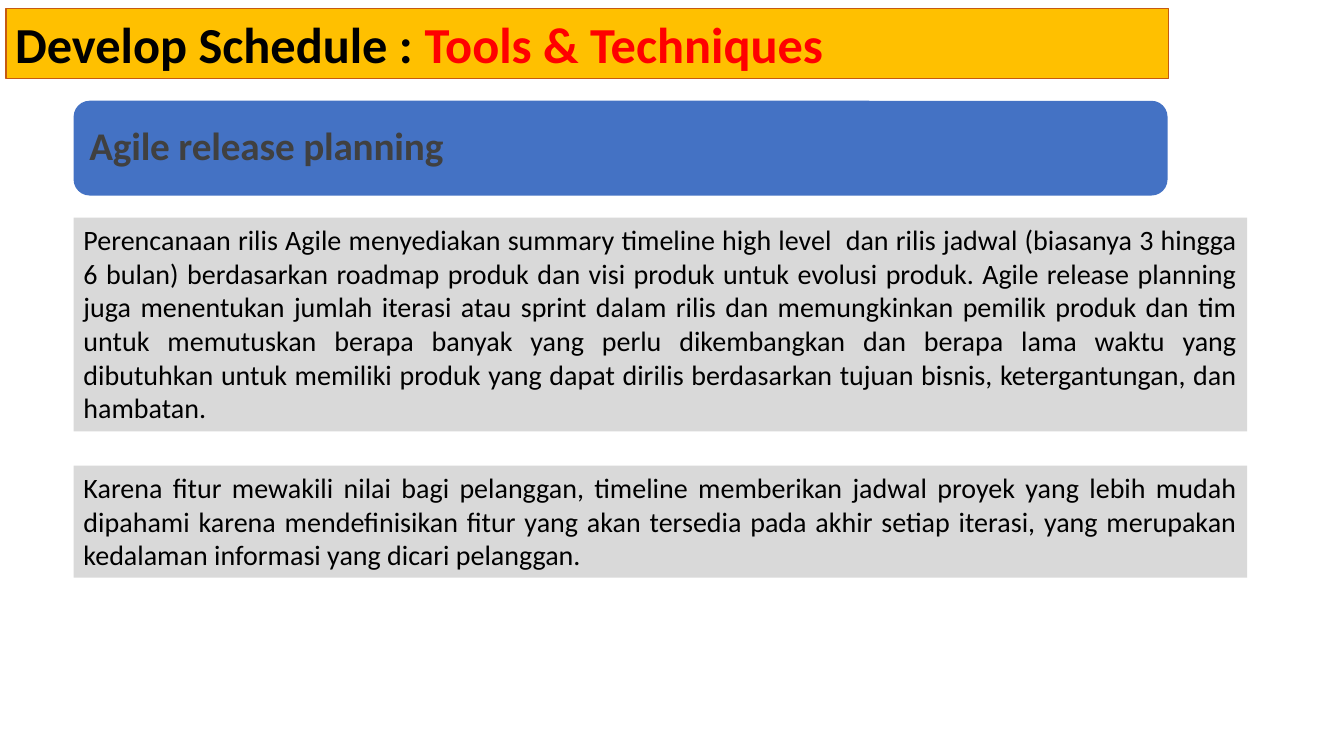
from pptx import Presentation
from pptx.dml.color import RGBColor
from pptx.enum.shapes import MSO_SHAPE
from pptx.enum.text import MSO_ANCHOR, MSO_AUTO_SIZE, PP_ALIGN
from pptx.util import Inches, Pt

AMBER = RGBColor(0xFF, 0xC0, 0x00)
RUST = RGBColor(0xC5, 0x5A, 0x11)
BLUE = RGBColor(0x44, 0x72, 0xC4)
SILVER = RGBColor(0xD9, 0xD9, 0xD9)
CHARCOAL = RGBColor(0x40, 0x40, 0x40)
BLACK = RGBColor(0x00, 0x00, 0x00)
RED = RGBColor(0xFF, 0x00, 0x00)

LEFT = 0.73
BODY_WIDTH = 11.64
BODY_TEXTS = [
    (2.16, 2.12,
     "Perencanaan rilis Agile menyediakan summary timeline high level  dan rilis jadwal "
     "(biasanya 3 hingga 6 bulan) berdasarkan roadmap produk dan visi produk untuk evolusi "
     "produk. Agile release planning juga menentukan jumlah iterasi atau sprint dalam rilis "
     "dan memungkinkan pemilik produk dan tim untuk memutuskan berapa banyak yang perlu "
     "dikembangkan dan berapa lama waktu yang dibutuhkan untuk memiliki produk yang dapat "
     "dirilis berdasarkan tujuan bisnis, ketergantungan, dan hambatan."),
    (4.62, 1.11,
     "Karena fitur mewakili nilai bagi pelanggan, timeline memberikan jadwal proyek yang "
     "lebih mudah dipahami karena mendefinisikan fitur yang akan tersedia pada akhir setiap "
     "iterasi, yang merupakan kedalaman informasi yang dicari pelanggan."),
]


def add_panel(kind, left, top, width, height, fill):
    panel = page.shapes.add_shape(
        kind, Inches(left), Inches(top), Inches(width), Inches(height))
    panel.shadow.inherit = False
    panel.fill.solid()
    panel.fill.fore_color.rgb = fill
    panel.line.fill.background()
    panel.text_frame.word_wrap = True
    panel.text_frame.vertical_anchor = MSO_ANCHOR.TOP
    return panel


def style_paragraph(paragraph, size, color, bold=False, align=PP_ALIGN.LEFT):
    paragraph.alignment = align
    paragraph.font.name = "Calibri"
    paragraph.font.size = Pt(size)
    paragraph.font.bold = bold
    paragraph.font.color.rgb = color


deck = Presentation()
deck.slide_width = Inches(13.33)
deck.slide_height = Inches(7.5)
page = deck.slides.add_slide(deck.slide_layouts[6])

title = add_panel(MSO_SHAPE.RECTANGLE, 0.06, 0.08, 11.53, 0.7, AMBER)
title.line.color.rgb = RUST
title.line.width = Pt(0.75)
title.text_frame.auto_size = MSO_AUTO_SIZE.SHAPE_TO_FIT_TEXT
title.text_frame.margin_left = title.text_frame.margin_right = Inches(0.09)
paragraph = title.text_frame.paragraphs[0]
style_paragraph(paragraph, 36, BLACK, bold=True)
for words, color in [("Develop Schedule : ", BLACK), ("Tools & Techniques", RED)]:
    span = paragraph.add_run()
    span.text = words
    span.font.color.rgb = color

heading = add_panel(MSO_SHAPE.ROUNDED_RECTANGLE, LEFT, 1, 10.85, 0.94, BLUE)
heading.adjustments[0] = 0.17
frame = heading.text_frame
frame.vertical_anchor = MSO_ANCHOR.MIDDLE
frame.margin_left = frame.margin_right = Inches(0.11)
frame.margin_top = frame.margin_bottom = Inches(0.11)
paragraph = frame.paragraphs[0]
paragraph.text = "Agile release planning"
paragraph.line_spacing = 0.9
style_paragraph(paragraph, 28, CHARCOAL, bold=True)
paragraph.runs[0].font._element.set("spc", "-10")

for top, height, words in BODY_TEXTS:
    box = add_panel(MSO_SHAPE.RECTANGLE, LEFT, top, BODY_WIDTH, height, SILVER)
    box.text_frame.auto_size = MSO_AUTO_SIZE.SHAPE_TO_FIT_TEXT
    paragraph = box.text_frame.paragraphs[0]
    paragraph.text = words
    style_paragraph(paragraph, 20, BLACK, align=PP_ALIGN.JUSTIFY)

deck.save("out.pptx")
